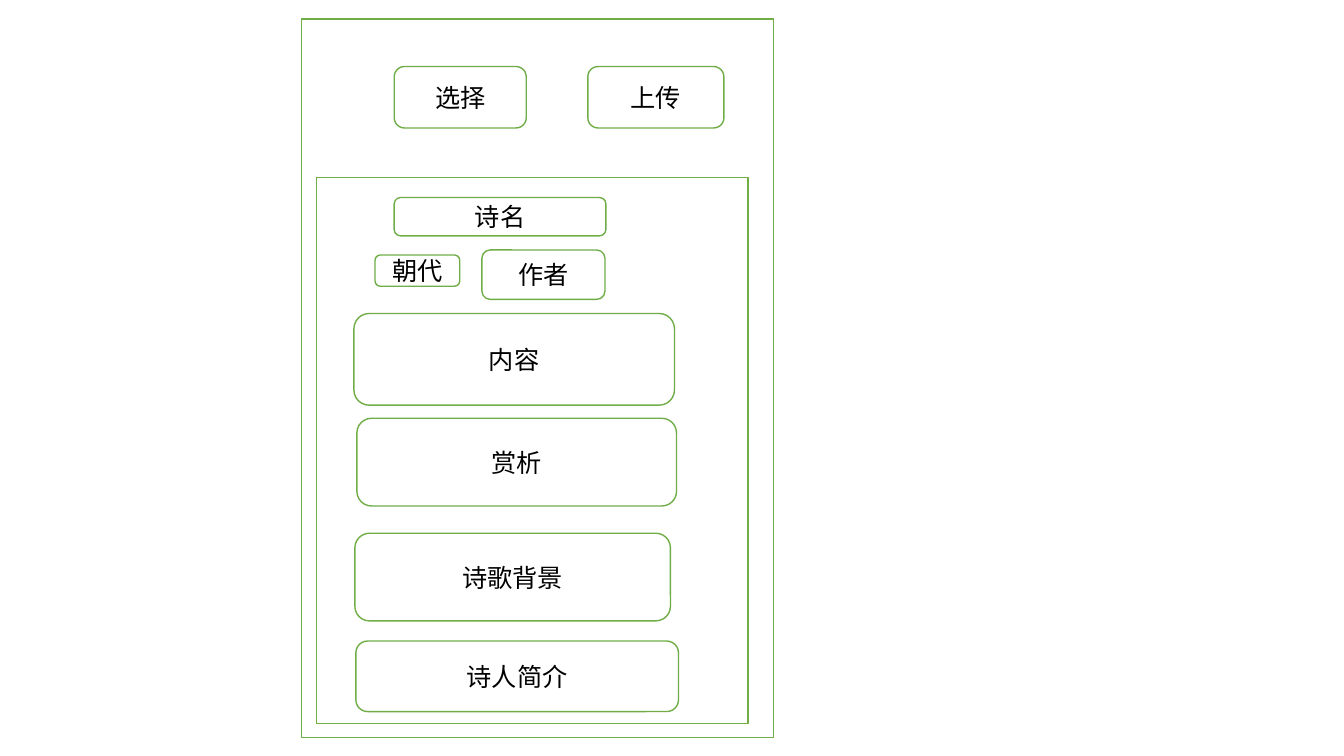
import pptx
import pptx.util
import pptx.dml.color
import pptx.enum.shapes
import pptx.enum.text

WIDE, HIGH = 13.33, 7.5
COLORS = {"paper": "FFFFFF", "edge": "70AD47", "ink": "000000"}
FONT, SIZE = "Calibri", 18

PHONE = (2.99, 0.19, 4.68, 7.13)
PANEL = (3.14, 1.76, 4.28, 5.42)
TOP, TALL = 0.66, 0.61
BUTTONS = [("选择", 3.91, 1.31), ("上传", 5.83, 1.35)]
FIELDS = [
    ("诗名", (3.91, 1.96, 2.1, 0.38)),
    ("内容", (3.51, 3.11, 3.18, 0.91)),
    ("朝代", (3.72, 2.53, 0.84, 0.31)),
    ("作者", (4.78, 2.48, 1.22, 0.49)),
    ("赏析", (3.54, 4.15, 3.17, 0.87)),
    ("诗歌背景", (3.52, 5.29, 3.13, 0.87)),
    ("诗人简介", (3.53, 6.36, 3.2, 0.7)),
]

Inches, Pt = pptx.util.Inches, pptx.util.Pt
Kind = pptx.enum.shapes.MSO_SHAPE


def tint(name):
    """Return the named colour."""
    return pptx.dml.color.RGBColor.from_string(COLORS[name])


def frame(slide, box, kind=Kind.RECTANGLE):
    """Draw a white outlined shape and return it."""
    shape = slide.shapes.add_shape(kind, *map(Inches, box))
    shape.shadow.inherit = False
    shape.fill.solid()
    shape.fill.fore_color.rgb = tint("paper")
    shape.line.color.rgb = tint("edge")
    shape.line.width = Pt(1)
    return shape


def field(slide, label, box):
    """Draw a rounded box with a centred label."""
    text = frame(slide, box, Kind.ROUNDED_RECTANGLE).text_frame
    text.word_wrap = True
    text.vertical_anchor = pptx.enum.text.MSO_ANCHOR.MIDDLE
    line = text.paragraphs[0]
    line.text = label
    line.alignment = pptx.enum.text.PP_ALIGN.CENTER
    line.font.name = FONT
    line.font.size = Pt(SIZE)
    line.font.color.rgb = tint("ink")


deck = pptx.Presentation()
deck.slide_width, deck.slide_height = Inches(WIDE), Inches(HIGH)
slide = deck.slides.add_slide(deck.slide_layouts[6])

frame(slide, PHONE)
for label, left, width in BUTTONS:
    field(slide, label, (left, TOP, width, TALL))
frame(slide, PANEL)
for label, box in FIELDS:
    field(slide, label, box)

deck.save("out.pptx")
